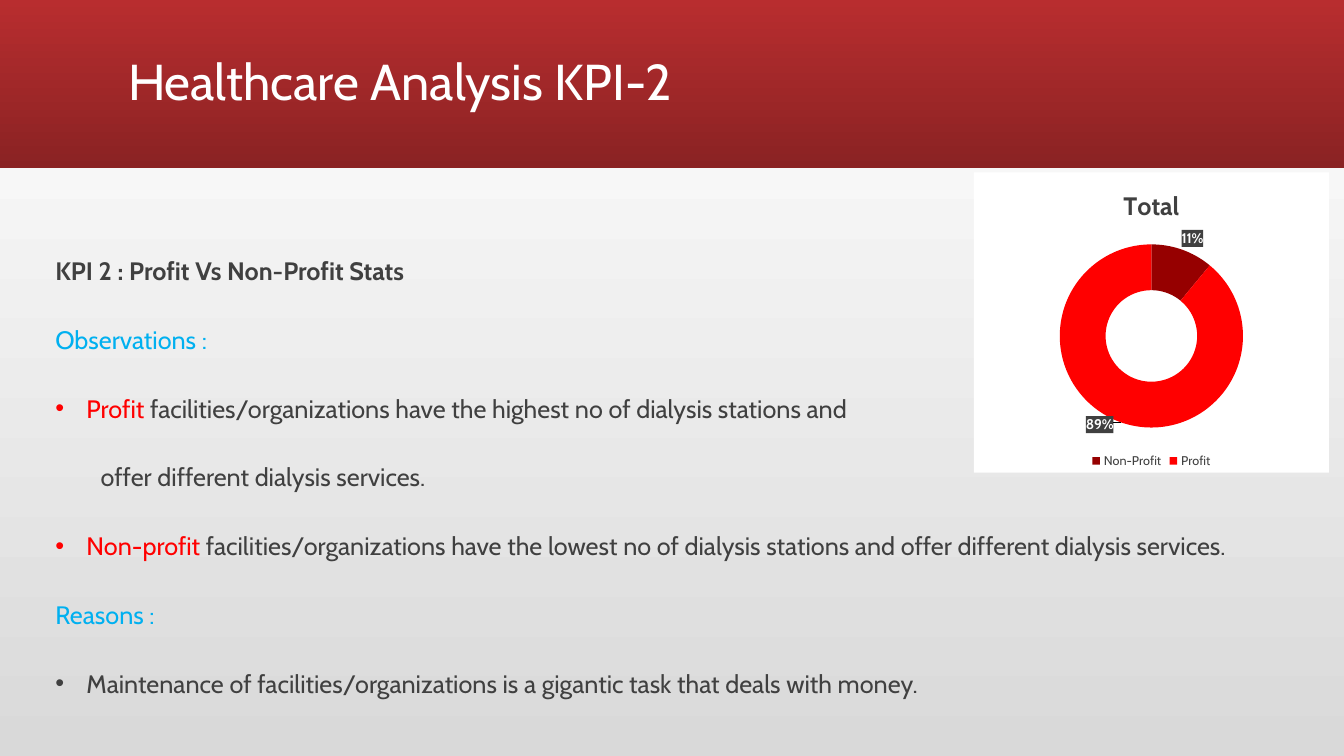
from copy import deepcopy

from pptx import Presentation
from pptx.chart.data import CategoryChartData
from pptx.dml.color import RGBColor
from pptx.enum.chart import XL_CHART_TYPE, XL_LEGEND_POSITION
from pptx.enum.shapes import MSO_SHAPE
from pptx.enum.text import MSO_ANCHOR, MSO_AUTO_SIZE, PP_ALIGN
from pptx.oxml import parse_xml
from pptx.oxml.ns import nsdecls, qn
from pptx.oxml.xmlchemy import OxmlElement
from pptx.util import Inches, Pt

DOUGHNUT = XL_CHART_TYPE.DOUGHNUT
LEGEND_BOTTOM = XL_LEGEND_POSITION.BOTTOM
RECTANGLE = MSO_SHAPE.RECTANGLE
MIDDLE = MSO_ANCHOR.MIDDLE
NO_AUTOFIT = MSO_AUTO_SIZE.NONE
LEFT = PP_ALIGN.LEFT

FONT = "Cabin"
WHITE, GREY, BLUE, RED, DARK_RED = "FFFFFF", "404040", "00B0F0", "FF0000", "960000"
BULLET, CONTINUED = "bullet", "continued"

FINDINGS = [
    (None, [("KPI 2 : Profit Vs Non-Profit Stats", GREY)]),
    (None, [("Observations :", BLUE)]),
    (BULLET, [("Profit", RED),
              (" facilities/organizations have the highest no of dialysis stations and", GREY)]),
    (CONTINUED, [("offer different dialysis services.", GREY)]),
    (BULLET, [("Non-profit ", RED),
              ("facilities/organizations have the lowest no of dialysis stations"
               " and offer different dialysis services.", GREY)]),
    (None, [("Reasons :", BLUE)]),
    (BULLET, [("Maintenance of facilities/organizations is a gigantic task"
               " that deals with money.", GREY)]),
]
SHARES = [("Non-Profit", 11, DARK_RED, (0.05, -0.11)), ("Profit", 89, RED, (-0.08, 0.08))]


def rgb(value):
    """Return the colour for a hex string."""
    return RGBColor.from_string(value)


def set_font(font, size, color=None, bold=False):
    """Format a font in the deck's typeface."""
    font.name, font.size, font.bold = FONT, Pt(size), bold
    if color:
        font.color.rgb = rgb(color)


def set_gradient(fill, angle, colors):
    """Fill with a two-colour linear gradient."""
    fill.gradient()
    fill.gradient_angle = angle
    for stop, color in zip(fill.gradient_stops, colors):
        stop.color.rgb = rgb(color)


def add_header(page, box, text):
    """Draw the red band across the box and set the title on it."""
    left, top, width, height = box
    band = page.shapes.add_shape(RECTANGLE, *map(Inches, box))
    band.shadow.inherit = False
    set_gradient(band.fill, 270, ("B82D2F", "8A2223"))
    band.line.fill.background()
    title = page.shapes.title
    title._element.addprevious(band._element)
    title.left, title.top = Inches(left + 1.17), Inches(top + 0.11)
    title.width, title.height = Inches(width - 2.33), Inches(height - 0.22)
    frame = title.text_frame
    frame.text = text
    frame.vertical_anchor = MIDDLE
    frame.auto_size = NO_AUTOFIT
    para = frame.paragraphs[0]
    para.alignment, para.line_spacing = LEFT, 0.9
    set_font(para.font, 36, WHITE)


def set_bullet(para, color):
    """Give a paragraph a hanging round bullet."""
    properties = para._p.get_or_add_pPr()
    properties.set("marL", str(Inches(0.31)))
    properties.set("indent", str(-Inches(0.31)))
    for xml in (f'<a:buClr {nsdecls("a")}><a:srgbClr val="{color}"/></a:buClr>',
                f'<a:buFont {nsdecls("a")} typeface="Arial"/>',
                f'<a:buChar {nsdecls("a")} char="•"/>'):
        properties.append(parse_xml(xml))


def add_findings(page, box):
    """Write the observations and reasons in the box."""
    frame = page.shapes.add_textbox(*map(Inches, box)).text_frame
    frame.word_wrap = True
    frame.vertical_anchor = MIDDLE
    for index, (style, spans) in enumerate(FINDINGS):
        para = frame.add_paragraph() if index else frame.paragraphs[0]
        para.line_spacing, para.space_before, para.space_after = 1.07, Pt(18), Pt(8)
        if style == BULLET:
            set_bullet(para, spans[0][1])
        elif style == CONTINUED:
            para._p.get_or_add_pPr().set("marL", str(Inches(0.45)))
        set_font(para.font, 18, bold=index == 0)
        for text, color in spans:
            span = para.add_run()
            span.text = text
            span.font.color.rgb = rgb(color)


def chart_fill(color):
    """Return chart shape properties with a plain fill and no line."""
    return parse_xml(f'<c:spPr {nsdecls("c", "a")}><a:solidFill><a:srgbClr val="{color}"/>'
                     '</a:solidFill><a:ln><a:noFill/></a:ln></c:spPr>')


def chart_layout(**settings):
    """Return a manual chart layout with the given settings."""
    layout = OxmlElement("c:layout")
    manual = OxmlElement("c:manualLayout")
    layout.append(manual)
    for name, value in settings.items():
        setting = OxmlElement(f"c:{name}")
        setting.set("val", str(value))
        manual.append(setting)
    return layout


def add_share_labels(series):
    """Show percentages on dark boxes moved off the ring."""
    labels = series.data_labels
    labels.show_percentage, labels.show_value = True, False
    labels.number_format, labels.number_format_is_linked = "0%", False
    set_font(labels.font, 10, WHITE, bold=True)
    element = labels._element
    element.find(qn("c:txPr")).addprevious(chart_fill(GREY))
    shared = [part for part in element if part.tag != qn("c:showLeaderLines")]
    for index, (_, _, _, (x, y)) in enumerate(SHARES):
        label = OxmlElement("c:dLbl")
        number = OxmlElement("c:idx")
        number.set("val", str(index))
        label.extend([number, chart_layout(x=x, y=y), *map(deepcopy, shared)])
        element.insert(index, label)


def add_share_chart(page, box):
    """Place the doughnut of profit and non-profit shares in the box."""
    data = CategoryChartData()
    data.categories = [name for name, *_ in SHARES]
    data.add_series("Total", [share for _, share, *_ in SHARES])
    chart = page.shapes.add_chart(DOUGHNUT, *map(Inches, box), data).chart
    set_font(chart.font, 10, "000000")
    chart._chartSpace.find(qn("c:txPr")).addprevious(chart_fill(WHITE))
    chart.has_title = True
    chart.chart_title.text_frame.text = "Total"
    set_font(chart.chart_title.text_frame.paragraphs[0].font, 18, GREY, bold=True)
    chart.has_legend = True
    chart.legend.position = LEGEND_BOTTOM
    chart.legend.include_in_layout = False
    set_font(chart.legend.font, 9, GREY)
    plot = chart.plots[0]
    plot.vary_by_categories = True
    series = plot.series[0]
    for index, (_, _, color, _) in enumerate(SHARES):
        fill = series.points[index].format.fill
        fill.solid()
        fill.fore_color.rgb = rgb(color)
    add_share_labels(series)
    area = chart._chartSpace.chart.plotArea
    for layout in area.findall(qn("c:layout")):
        area.remove(layout)
    area.insert(0, chart_layout(layoutTarget="inner", xMode="edge", yMode="edge",
                                x=0.24, y=0.24, w=0.52, h=0.61))


def main():
    """Build the slide and save the deck."""
    deck = Presentation()
    deck.slide_width, deck.slide_height = Inches(13.33), Inches(7.5)
    page = deck.slides.add_slide(deck.slide_layouts[5])
    set_gradient(page.background.fill, 90, ("D9D9D9", WHITE))
    add_header(page, (0, 0, 13.33, 1.67), "Healthcare Analysis KPI-2")
    add_findings(page, (0.45, 2.18, 12.13, 5.08))
    add_share_chart(page, (9.66, 1.71, 3.52, 2.98))
    deck.save("out.pptx")


if __name__ == "__main__":
    main()
